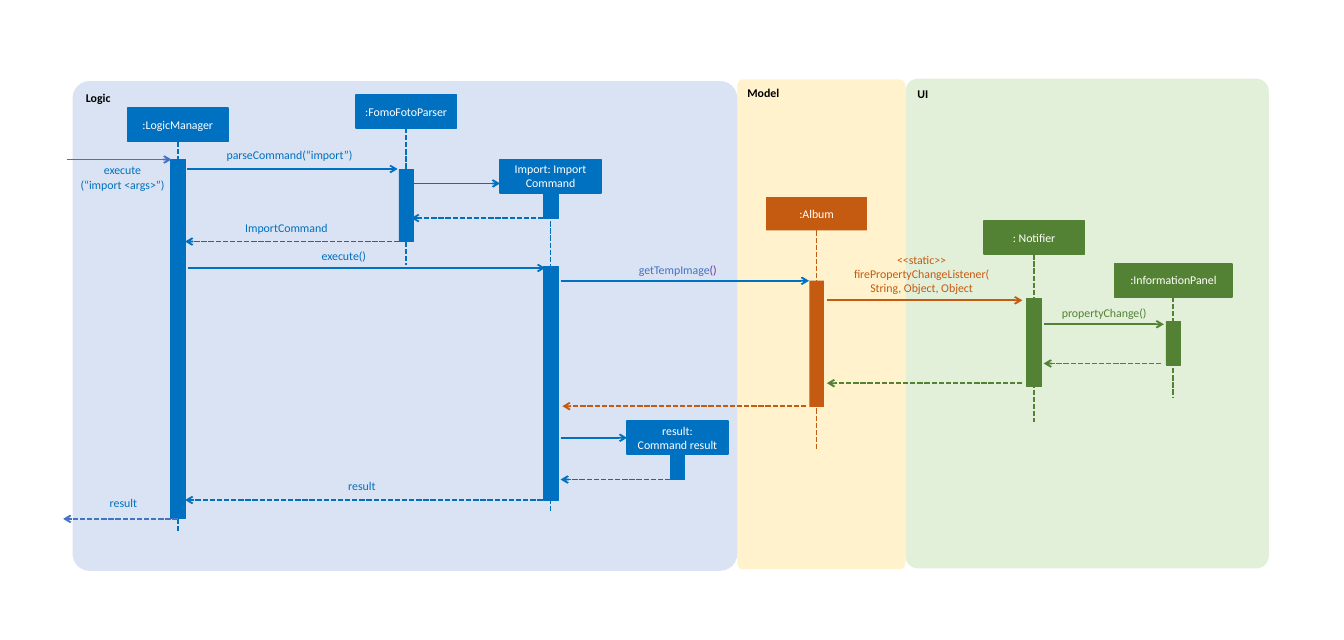
from dataclasses import dataclass
from typing import Optional

import pptx
import pptx.dml.color
import pptx.enum.dml
import pptx.enum.shapes
import pptx.enum.text
import pptx.oxml.ns
import pptx.util
from lxml import etree

Pt = pptx.util.Pt
Shapes = pptx.enum.shapes.MSO_SHAPE
Align = pptx.enum.text.PP_ALIGN
Anchor = pptx.enum.text.MSO_ANCHOR
qn = pptx.oxml.ns.qn
TOP, LEFT, BOTTOM, RIGHT = range(4)


@dataclass(frozen=True)
class Theme:
    font: str = "Calibri"
    size: float = 10
    line: float = 1.5
    thin: float = 0.5
    blue: str = "0070C0"
    indigo: str = "4472C4"
    purple: str = "7030A0"
    orange: str = "C55A11"
    green: str = "548235"
    black: str = "000000"
    white: str = "FFFFFF"
    logic: str = "DAE3F3"
    model: str = "FFF2CC"
    ui: str = "E2F0D9"


THEME = Theme()
HEAD_WIDTH, HEAD_HEIGHT, BAR_WIDTH = 85, 28, 12.4


@dataclass(frozen=True)
class Panel:
    title: str
    left: float
    top: float
    width: float
    fill: str


@dataclass(frozen=True)
class Participant:
    name: str
    label: str
    centre: float
    top: float
    bars: tuple[tuple[float, float], ...]  # top and height of each
    life_end: Optional[float] = None
    colour: str = THEME.blue
    width: float = HEAD_WIDTH
    outlined: bool = True


@dataclass(frozen=True)
class Message:
    start: float
    end: float
    y: float
    colour: str = THEME.blue
    reply: bool = False
    start_joint: Optional[tuple[str, int]] = None
    end_joint: Optional[tuple[str, int]] = None


@dataclass(frozen=True)
class Caption:
    text: str
    left: float
    top: float
    width: float
    colour: str = THEME.blue
    align: Align = Align.CENTER
    suffix: str = ""


PANELS = [
    Panel("UI", 763.9, 66.4, 306.7, THEME.ui),
    Panel("Model", 622.1, 67, 141.8, THEME.model),
    Panel("Logic", 61.2, 68.4, 560.9, THEME.logic),
]
PARTICIPANTS = [
    Participant("manager", ":LogicManager", 150, 91.4, ((134.6, 303.2),), 449.3),
    Participant("parser", ":FomoFotoParser", 342.7, 79.9, ((143.3, 60.5),), 223.9),
    Participant("import", "Import: Import\vCommand", 464.5, 134.6,
                ((162.6, 21.4), (224.6, 197.3)), 431.3),
    Participant("result", "result:\nCommand result", 571.6, 355.4, ((383.4, 21.2),)),
    Participant("album", ":Album", 689, 166.4, ((236.9, 106.4),), 379.4,
                THEME.orange, outlined=False),
    Participant("notifier", ": Notifier", 872.5, 186.5, ((252, 74.2),), 356.4, THEME.green),
    Participant("panel", ":InformationPanel", 990, 222.5, ((271.4, 36.7),), 335.5,
                THEME.green, width=99.4),
]
MESSAGES = [
    Message(56.2, 144.7, 134.6, THEME.indigo),
    Message(157.7, 335.5, 142.6),
    Message(349.2, 421.9, 154.8),
    Message(464.5, 347, 184, reply=True, start_joint=("import bar 0", BOTTOM)),
    Message(342.7, 156.2, 203.8, reply=True, start_joint=("parser bar 0", BOTTOM)),
    Message(158.4, 460, 226.1),
    Message(473, 682.6, 236.9),
    Message(697.7, 862.6, 253.4, THEME.orange),
    Message(881.3, 982, 273.6, THEME.green),
    Message(979.9, 880.6, 306.7, THEME.green, reply=True),
    Message(862.6, 697.7, 323.3, THEME.green, reply=True),
    Message(680.4, 474.5, 342.7, THEME.orange, reply=True),
    Message(473, 529.1, 369.4, end_joint=("result head", LEFT)),
    Message(571.6, 473, 404.6, reply=True, start_joint=("result bar 0", BOTTOM)),
    Message(457.9, 156.2, 421.9, reply=True),
    Message(150, 53.3, 437.8, THEME.indigo, reply=True, start_joint=("manager bar 0", BOTTOM)),
]
CAPTIONS = [
    Caption("execute\n(“import <args>”)", 56.9, 137.5, 92.9),
    Caption("parseCommand(“import”)", 133.9, 124.6, 163.4, align=Align.RIGHT),
    Caption("ImportCommand", 187.9, 186.5, 107.3),
    Caption("execute()", 256.3, 209.5, 67.7),
    Caption("getTempImage", 492.5, 221.8, 112.3, THEME.indigo, Align.RIGHT, "()"),
    Caption("<<static>>\nfirePropertyChangeListener(String, Object, Object",
            720, 213.1, 115.2, THEME.orange),
    Caption("propertyChange()", 875.5, 257.8, 112.3, THEME.green),
    Caption("result", 280.8, 403.9, 49),
    Caption("result", 74.2, 418.3, 59.8),
]


def style_span(span, colour: str, bold: bool = False) -> None:
    span.font.name, span.font.size, span.font.bold = THEME.font, Pt(THEME.size), bold
    span.font.color.rgb = pptx.dml.color.RGBColor.from_string(colour)


def write_text(box, text: str, *, colour: str, align=Align.CENTER, anchor=Anchor.MIDDLE,
               bold: bool = False, inset: Optional[float] = None, suffix: str = "") -> None:
    frame = box.text_frame
    frame.word_wrap, frame.vertical_anchor = True, anchor
    if inset is not None:
        frame.margin_left = frame.margin_right = Pt(inset)
        frame.margin_top = frame.margin_bottom = Pt(inset)
    frame.text = text
    for para in frame.paragraphs:
        para.alignment = align
        for span in para.runs:
            style_span(span, colour, bold)
    if suffix:
        span = frame.paragraphs[-1].add_run()
        span.text = suffix
        style_span(span, THEME.purple)


def draw_box(page, kind, left: float, top: float, width: float, height: float,
             fill: str, outline: float = 0):
    box = page.shapes.add_shape(kind, Pt(left), Pt(top), Pt(width), Pt(height))
    box.shadow.inherit = False
    colour = pptx.dml.color.RGBColor.from_string(fill)
    box.fill.solid()
    box.fill.fore_color.rgb = colour
    if outline:
        box.line.color.rgb, box.line.width = colour, Pt(outline)
    else:
        box.line.fill.background()
    return box


def draw_line(page, x1: float, y1: float, x2: float, y2: float, colour: str,
              *, dashed: bool, arrow: bool):
    line = page.shapes.add_connector(pptx.enum.shapes.MSO_CONNECTOR.STRAIGHT,
                                     Pt(x1), Pt(y1), Pt(x2), Pt(y2))
    line.line.color.rgb = pptx.dml.color.RGBColor.from_string(colour)
    line.line.width = Pt(THEME.line)
    if dashed:
        line.line.dash_style = pptx.enum.dml.MSO_LINE.SQUARE_DOT
    properties = line._element.spPr
    if arrow:
        etree.SubElement(properties.find(qn("a:ln")), qn("a:tailEnd"), type="arrow")
    etree.SubElement(properties, qn("a:effectLst"))
    return line


def draw_panel(page, panel: Panel) -> None:
    box = draw_box(page, Shapes.ROUNDED_RECTANGLE, panel.left, panel.top, panel.width, 413.3,
                   panel.fill)
    box.adjustments[0] = 0.035
    write_text(box, panel.title, colour=THEME.black, align=Align.LEFT, anchor=Anchor.TOP, bold=True)


def draw_participant(page, who: Participant) -> dict:
    head = draw_box(page, Shapes.RECTANGLE, who.centre - who.width / 2, who.top, who.width,
                    HEAD_HEIGHT, who.colour, THEME.line if who.outlined else 0)
    write_text(head, who.label, colour=THEME.white)
    if who.life_end is not None:
        life = draw_line(page, who.centre, who.top + HEAD_HEIGHT, who.centre, who.life_end,
                         who.colour, dashed=True, arrow=False)
        life.begin_connect(head, BOTTOM)
    drawn = {f"{who.name} head": head}
    for index, (top, height) in enumerate(who.bars):
        drawn[f"{who.name} bar {index}"] = draw_box(
            page, Shapes.RECTANGLE, who.centre - BAR_WIDTH / 2, top, BAR_WIDTH, height,
            who.colour, THEME.thin if who.outlined else 0)
    return drawn


def draw_message(page, message: Message, drawn: dict) -> None:
    line = draw_line(page, message.start, message.y, message.end, message.y, message.colour,
                     dashed=message.reply, arrow=True)
    if message.start_joint:
        name, side = message.start_joint
        line.begin_connect(drawn[name], side)
    if message.end_joint:
        name, side = message.end_joint
        line.end_connect(drawn[name], side)


def draw_caption(page, caption: Caption) -> None:
    box = page.shapes.add_textbox(Pt(caption.left), Pt(caption.top), Pt(caption.width), Pt(12.2))
    write_text(box, caption.text, colour=caption.colour, align=caption.align,
               anchor=Anchor.TOP, inset=0, suffix=caption.suffix)


def main() -> None:
    deck = pptx.Presentation()
    deck.slide_width, deck.slide_height = Pt(1134), Pt(540)
    page = deck.slides.add_slide(deck.slide_layouts[6])
    # Component areas
    for panel in PANELS:
        draw_panel(page, panel)
    # Participants with lifelines and activation bars
    drawn: dict = {}
    for who in PARTICIPANTS:
        drawn.update(draw_participant(page, who))
    # Calls and replies
    for message in MESSAGES:
        draw_message(page, message, drawn)
    for caption in CAPTIONS:
        draw_caption(page, caption)
    deck.save("out.pptx")


if __name__ == "__main__":
    main()
